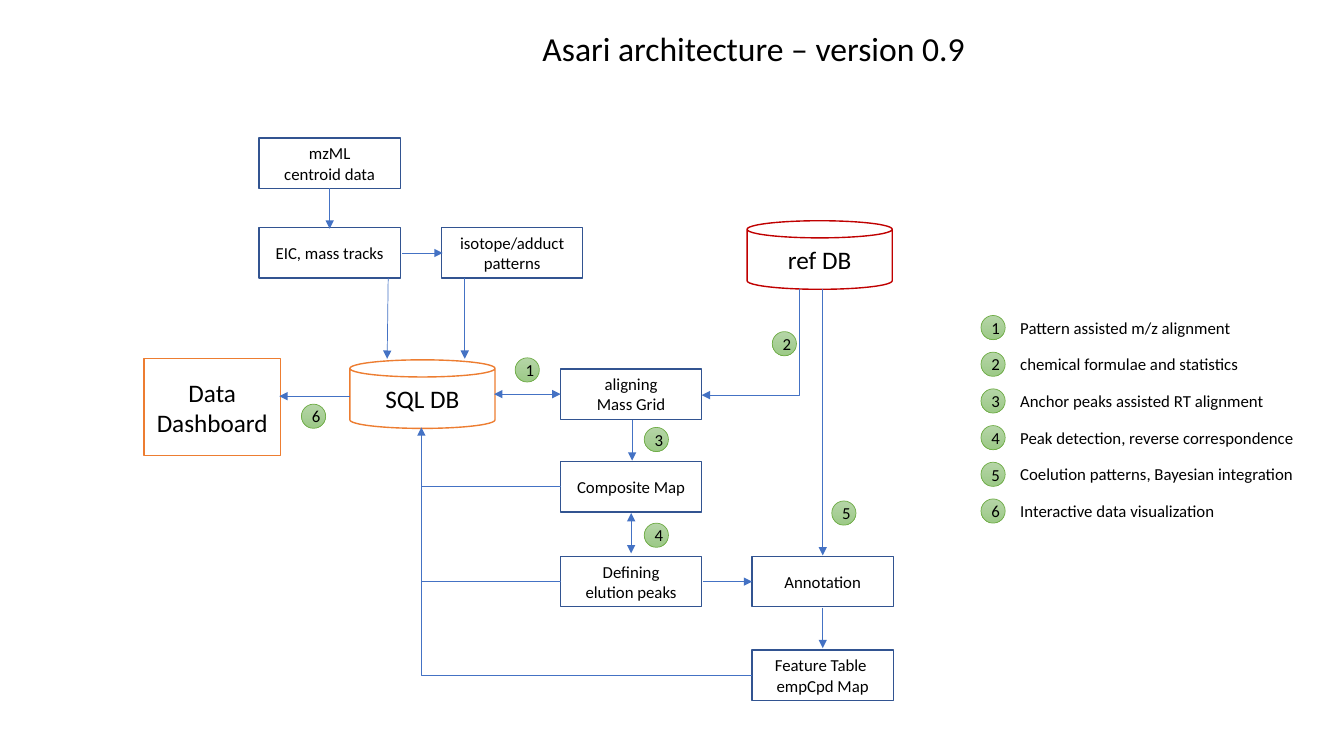
from dataclasses import dataclass

from lxml.etree import SubElement
from pptx import Presentation
from pptx.dml.color import RGBColor
from pptx.enum.shapes import MSO_CONNECTOR, MSO_SHAPE
from pptx.enum.text import MSO_ANCHOR, MSO_AUTO_SIZE, PP_ALIGN
from pptx.oxml.ns import qn
from pptx.util import Inches, Pt


@dataclass(frozen=True)
class Theme:
    """Colours, font and sizes used on the slide."""
    font: str = "Calibri"
    text: str = "000000"
    white: str = "FFFFFF"
    step: str = "325491"
    store: str = "ED7D31"
    reference: str = "C00000"
    arrow: str = "4472C4"
    badge_line: str = "70AD47"
    badge_top: str = "B5D5A7"
    badge_bottom: str = "9CC987"
    title_size: int = 24
    store_size: int = 18
    body_size: int = 12
    outline: float = 1
    thin: float = 0.5


THEME = Theme()
STEP_WIDTH, STEP_HEIGHT = 1.4, 0.5
CAN_WIDTH, CAN_HEIGHT = 1.44, 0.68
BADGE_SIZE = 0.24
LEFT_COLUMN, MIDDLE_COLUMN, RIGHT_COLUMN = 2.57, 5.56, 7.46
LEGEND_LEFT, LEGEND_TOP, LEGEND_PITCH = 9.73, 3.13, 0.364

STEPS = [
    ("mzML\vcentroid data", LEFT_COLUMN, 1.37),
    ("EIC, mass tracks", LEFT_COLUMN, 2.26),
    ("isotope/adduct patterns", 4.38, 2.26),
    ("aligning\vMass Grid", MIDDLE_COLUMN, 3.66),
    ("Composite Map", MIDDLE_COLUMN, 4.58),
    ("Defining\velution peaks", MIDDLE_COLUMN, 5.52),
    ("Annotation", RIGHT_COLUMN, 5.52),
    ("Feature Table \vempCpd Map", RIGHT_COLUMN, 6.45),
]
ARROWS = [
    ((3.27, 1.87), (3.27, 2.27)),
    ((3.99, 2.51), (4.39, 2.51)),
    ((3.85, 2.76), (3.84, 3.56)),
    ((4.61, 2.76), (4.61, 3.56)),
    ((3.47, 3.93), (2.77, 3.93)),
    ((6.27, 4.17), (6.27, 4.57)),
    ((6.97, 5.77), (7.46, 5.77)),
    ((8.16, 2.87), (8.16, 5.51)),
    ((8.16, 6.03), (8.16, 6.43)),
]
TWO_WAY_ARROWS = [((4.9, 3.91), (5.56, 3.91)), ((6.26, 5.09), (6.26, 5.49))]
PLAIN_LINES = [((MIDDLE_COLUMN, y), (4.18, y)) for y in (4.83, 5.77)]
BADGES = [(1, 5.11, 3.55), (2, 7.66, 3.29), (3, 6.39, 4.24),
          (4, 6.39, 5.19), (5, 8.25, 4.97), (6, 2.99, 4.01)]
LEGEND = [
    "Pattern assisted m/z alignment",
    "chemical formulae and statistics",
    "Anchor peaks assisted RT alignment",
    "Peak detection, reverse correspondence",
    "Coelution patterns, Bayesian integration",
    "Interactive data visualization",
]


def color(value):
    """Turn a hex string into a colour."""
    return RGBColor.from_string(value)


def set_text(shape, text, size=THEME.body_size, align=PP_ALIGN.CENTER,
             anchor=MSO_ANCHOR.MIDDLE, wrap=True, margin=None):
    """Write text into a shape and format it."""
    frame = shape.text_frame
    frame.text = text
    frame.word_wrap = wrap
    frame.vertical_anchor = anchor
    frame.auto_size = MSO_AUTO_SIZE.NONE
    if margin is not None:
        frame.margin_left = frame.margin_right = Inches(margin)
        frame.margin_top = frame.margin_bottom = Inches(margin)
    for paragraph in frame.paragraphs:
        paragraph.alignment = align
        for run in paragraph.runs:
            run.font.name = THEME.font
            run.font.size = Pt(size)
            run.font.color.rgb = color(THEME.text)


def add_title(slide, text):
    """Place and fill the title placeholder."""
    title = slide.shapes.title
    title.left, title.top = Inches(5.28), Inches(0.23)
    title.width, title.height = Inches(4.51), Inches(0.5)
    set_text(title, text, size=THEME.title_size, align=PP_ALIGN.LEFT,
             anchor=MSO_ANCHOR.TOP, wrap=False)
    title.text_frame.paragraphs[0].line_spacing = 1.0


def add_node(slide, kind, left, top, width, height, line, weight=THEME.outline):
    """Add an outlined preset shape without fill or shadow."""
    shape = slide.shapes.add_shape(
        kind, Inches(left), Inches(top), Inches(width), Inches(height))
    shape.shadow.inherit = False
    shape.fill.background()
    shape.line.color.rgb = color(line)
    shape.line.width = Pt(weight)
    return shape


def add_step(slide, text, left, top):
    """Add a processing step."""
    step = add_node(slide, MSO_SHAPE.RECTANGLE, left, top,
                    STEP_WIDTH, STEP_HEIGHT, THEME.step)
    set_text(step, text)


def add_store(slide, kind, text, left, top, width, height, line):
    """Add a database or the dashboard, filled white with large text."""
    store = add_node(slide, kind, left, top, width, height, line)
    store.fill.solid()
    store.fill.fore_color.rgb = color(THEME.white)
    set_text(store, text, size=THEME.store_size)


def add_badge(slide, number, left, top):
    """Add a numbered green circle."""
    badge = add_node(slide, MSO_SHAPE.OVAL, left, top, BADGE_SIZE, BADGE_SIZE,
                     THEME.badge_line, weight=THEME.thin)
    badge.fill.gradient()
    badge.fill.gradient_angle = 270
    shades = (THEME.badge_top, THEME.badge_bottom)
    for stop, shade in zip(badge.fill.gradient_stops, shades):
        stop.color.rgb = color(shade)
    set_text(badge, str(number), wrap=False, margin=0)
    badge.text_frame.margin_left = Inches(0.05)


def add_line(slide, start, end, head=False, tail=False, bent=False):
    """Join two points; a bent line runs across first, then up or down."""
    points = [Inches(value) for value in (*start, *end)]
    kind = MSO_CONNECTOR.ELBOW if bent else MSO_CONNECTOR.STRAIGHT
    connector = slide.shapes.add_connector(kind, *points)
    connector.line.color.rgb = color(THEME.arrow)
    connector.line.width = Pt(THEME.thin)
    properties = connector._element.spPr
    if bent:
        properties.find(qn("a:prstGeom")).set("prst", "bentConnector2")
    outline = properties.find(qn("a:ln"))
    for tag, wanted in (("a:headEnd", head), ("a:tailEnd", tail)):
        if wanted:
            SubElement(outline, qn(tag), type="triangle")
    SubElement(properties, qn("a:effectLst"))


def add_legend(slide):
    """List the meaning of each badge in even rows."""
    for row, text in enumerate(LEGEND):
        top = LEGEND_TOP + row * LEGEND_PITCH
        label = slide.shapes.add_textbox(
            Inches(LEGEND_LEFT + 0.29), Inches(top - 0.03),
            Inches(2.99), Inches(0.3))
        set_text(label, text, align=PP_ALIGN.LEFT, anchor=MSO_ANCHOR.TOP)
        add_badge(slide, row + 1, LEGEND_LEFT, top)


def main():
    """Build the slide and save it."""
    presentation = Presentation()
    presentation.slide_width = Inches(13.33)
    presentation.slide_height = Inches(7.5)
    slide = presentation.slides.add_slide(presentation.slide_layouts[5])

    add_title(slide, "Asari architecture – version 0.9")
    for step in STEPS:
        add_step(slide, *step)
    add_store(slide, MSO_SHAPE.CAN, "SQL DB", 3.47, 3.57,
              CAN_WIDTH, CAN_HEIGHT, THEME.store)
    add_store(slide, MSO_SHAPE.CAN, "ref DB", 7.41, 2.19,
              CAN_WIDTH, CAN_HEIGHT, THEME.reference)
    add_store(slide, MSO_SHAPE.RECTANGLE, "Data\vDashboard", 1.43, 3.56,
              1.35, 0.96, THEME.store)
    for start, end in ARROWS:
        add_line(slide, start, end, tail=True)
    for start, end in TWO_WAY_ARROWS:
        add_line(slide, start, end, head=True, tail=True)
    for start, end in PLAIN_LINES:
        add_line(slide, start, end)
    add_line(slide, (6.96, 3.92), (7.93, 2.87), head=True, bent=True)
    add_line(slide, (RIGHT_COLUMN, 6.7), (4.18, 4.24), tail=True, bent=True)
    for badge in BADGES:
        add_badge(slide, *badge)
    add_legend(slide)
    presentation.save("out.pptx")


main()
